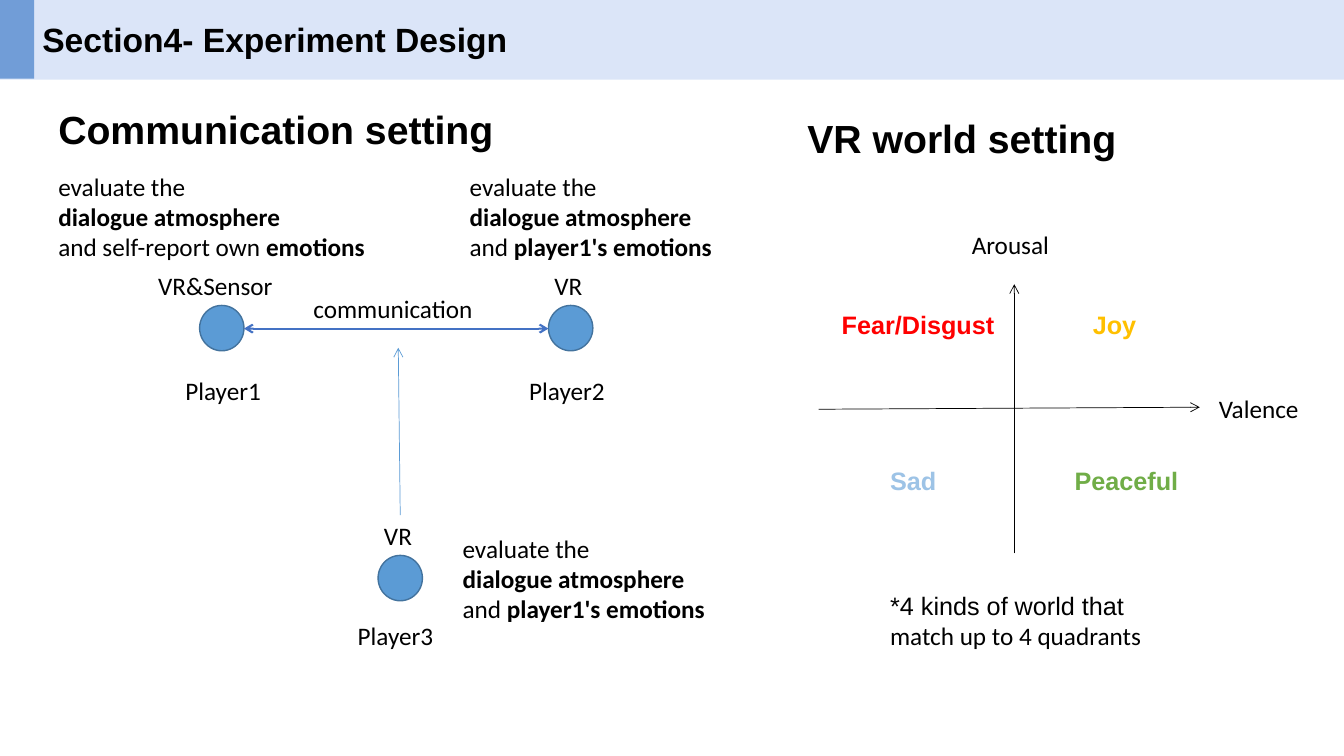
from lxml import etree
from pptx import Presentation
from pptx.dml.color import RGBColor
from pptx.enum.shapes import MSO_CONNECTOR as Connector, MSO_SHAPE as Shape
from pptx.enum.text import MSO_ANCHOR as Anchor, MSO_AUTO_SIZE as AutoSize, PP_ALIGN as Align
from pptx.oxml.ns import qn
from pptx.util import Inches, Pt

COLORS = {
    "black": "000000",
    "band": "DBE5F8",
    "accent": "719DD7",
    "player": "5B9BD5",
    "player_line": "43739E",
    "dialogue": "4472C4",
    "fear": "FF0000",
    "joy": "FFC000",
    "sad": "9DC3E6",
    "peaceful": "70AD47",
}
PLAYER_WIDTH, PLAYER_HEIGHT = 0.44, 0.45
LINE_HEIGHT = 0.3


def color(name):
    return RGBColor.from_string(COLORS[name])


def style_font(font, size, name, tint, bold=None):
    font.size = Pt(size)
    font.name = name
    font.color.rgb = color(tint)
    font.bold = bold


def add_filled(page, kind, left, top, width, height, fill, outline=None):
    shape = page.shapes.add_shape(kind, Inches(left), Inches(top), Inches(width), Inches(height))
    shape.shadow.inherit = False
    shape.fill.solid()
    shape.fill.fore_color.rgb = color(fill)
    if outline:
        shape.line.color.rgb = color(outline)
        shape.line.width = Pt(1)
    else:
        shape.line.fill.background()


def add_title(page, text):
    title = page.shapes.title
    title.left, title.top = Inches(0.32), Inches(0.14)
    title.width, title.height = Inches(4.95), Inches(0.5)
    frame = title.text_frame
    frame.text = text
    frame.auto_size = AutoSize.NONE
    frame.vertical_anchor = Anchor.TOP
    para = frame.paragraphs[0]
    para.alignment = Align.LEFT
    style_font(para.font, 24, "Arial", "black", True)
    title.element.getparent().append(title.element)


def add_text(page, left, top, width, lines, size=18, name="Calibri", tint="black", bold=None):
    height = 0.1 + LINE_HEIGHT * len(lines) * size / 18
    box = page.shapes.add_textbox(Inches(left), Inches(top), Inches(width), Inches(height))
    frame = box.text_frame
    frame.word_wrap = True
    frame.margin_right = 0
    for index, spans in enumerate(lines):
        para = frame.add_paragraph() if index else frame.paragraphs[0]
        style_font(para.font, size, name, tint, bold)
        for text, strong in spans:
            span = para.add_run()
            span.text = text
            if strong:
                span.font.bold = True
    return frame


def add_label(page, left, top, width, text, **style):
    return add_text(page, left, top, width, [[(text, False)]], **style)


def add_task(page, left, top, width, lead, target):
    add_text(page, left, top, width, [
        [("evaluate the", False)],
        [("dialogue atmosphere", True)],
        [(lead, False), (target, True)],
    ])


def add_arrow(page, start, end, tint, weight=0.5, both=False):
    line = page.shapes.add_connector(Connector.STRAIGHT, *map(Inches, start + end))
    line.line.color.rgb = color(tint)
    line.line.width = Pt(weight)
    outline = line.line._get_or_add_ln()
    for tag in ["a:headEnd", "a:tailEnd"] if both else ["a:tailEnd"]:
        etree.SubElement(outline, qn(tag), type="arrow")
    etree.SubElement(outline.getparent(), qn("a:effectLst"))


def add_communication(page):
    add_label(page, 0.48, 1, 4.82, "Communication setting", size=28, name="Arial", bold=True)
    for left, top in [(1.98, 3.03), (5.44, 3.03), (3.75, 5.51)]:
        add_filled(page, Shape.OVAL, left, top, PLAYER_WIDTH, PLAYER_HEIGHT, "player", "player_line")
    for left, top, width, text in [
        (1.74, 3.67, 1.13, "Player1"),
        (5.15, 3.67, 1.03, "Player2"),
        (3.45, 6.11, 1.03, "Player3"),
        (3.01, 2.86, 1.92, "communication"),
        (1.47, 2.63, 1.47, "VR&Sensor"),
        (5.4, 2.63, 0.52, "VR"),
        (3.71, 5.11, 0.52, "VR"),
    ]:
        add_label(page, left, top, width, text)
    add_arrow(page, (2.42, 3.26), (5.44, 3.26), "dialogue", 1.5, both=True)
    add_arrow(page, (3.97, 5.11), (3.95, 3.45), "player")
    add_task(page, 0.48, 1.65, 3.67, "and self-report own ", "emotions")
    add_task(page, 4.56, 1.65, 3.14, "and ", "player1's emotions")
    add_task(page, 4.49, 5.24, 2.94, "and ", "player1's emotions")


def add_world(page):
    add_label(page, 7.91, 1.08, 3.36, "VR world setting", size=28, name="Arial", bold=True)
    add_arrow(page, (8.12, 4.06), (11.9, 4.04), "black")
    add_arrow(page, (10.06, 5.49), (10.06, 2.82), "black")
    add_label(page, 11.99, 3.85, 1.08, "Valence")
    add_label(page, 9.54, 2.23, 1.04, "Arousal")
    for left, top, width, text, tint in [
        (8.25, 3.02, 1.71, "Fear/Disgust", "fear"),
        (10.74, 3.02, 0.63, "Joy", "joy"),
        (8.73, 4.57, 0.66, "Sad", "sad"),
        (10.56, 4.57, 1.23, "Peaceful", "peaceful"),
    ]:
        add_label(page, left, top, width, text, name="Arial", tint=tint, bold=True)
    note = add_text(page, 8.73, 5.81, 2.95, [
        [("*4 kinds of world that", False)],
        [("match up to 4 quadrants", False)],
    ])
    note.paragraphs[0].font.name = "Arial"


def main():
    deck = Presentation()
    deck.slide_width, deck.slide_height = Inches(13.33), Inches(7.5)
    page = deck.slides.add_slide(deck.slide_layouts[5])
    add_filled(page, Shape.RECTANGLE, 0, 0, 13.33, 0.79, "band")
    add_filled(page, Shape.RECTANGLE, 0, 0, 0.34, 0.78, "accent")
    add_title(page, "Section4- Experiment Design")
    add_communication(page)
    add_world(page)
    deck.save("out.pptx")


if __name__ == "__main__":
    main()
